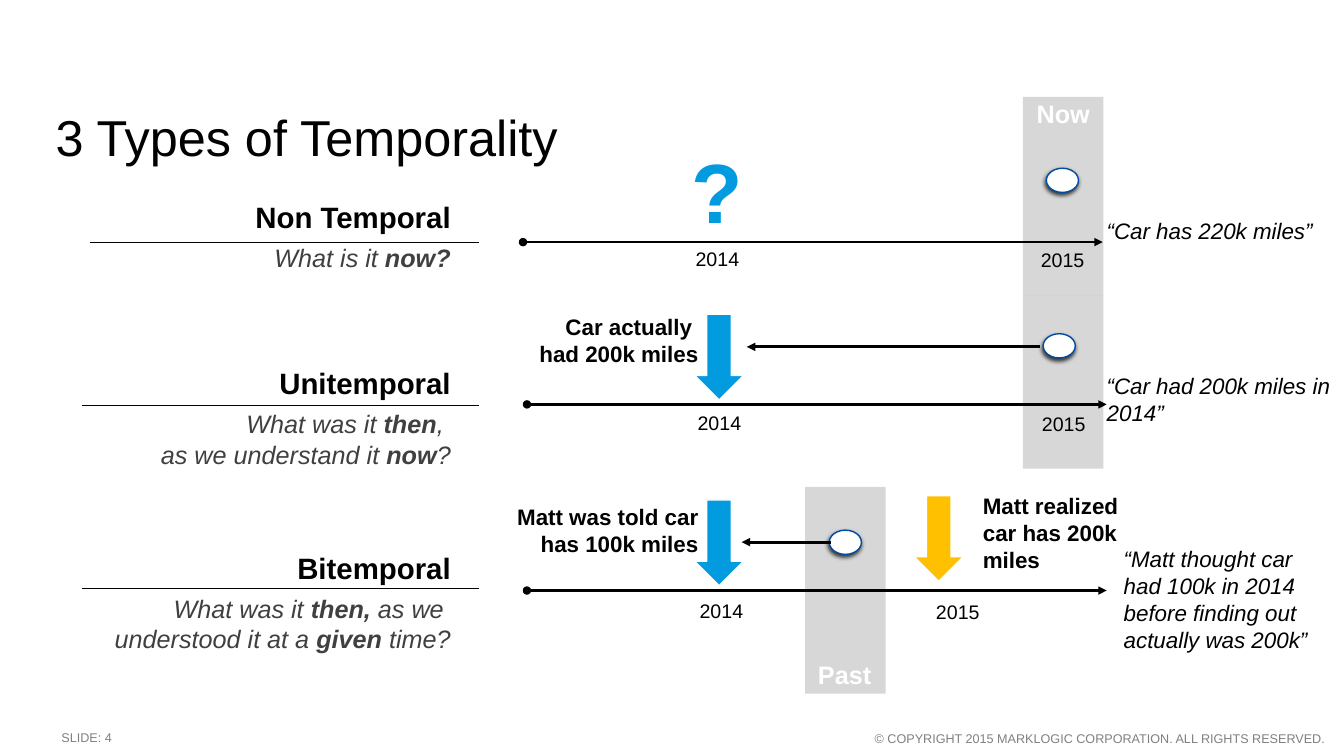
import pptx
import pptx.util
import pptx.dml.color
import pptx.enum.shapes
import pptx.enum.text
import pptx.oxml

Cm, Pt = pptx.util.Cm, pptx.util.Pt
SHAPE = pptx.enum.shapes.MSO_SHAPE
ALIGN = {"l": pptx.enum.text.PP_ALIGN.LEFT, "c": pptx.enum.text.PP_ALIGN.CENTER,
         "r": pptx.enum.text.PP_ALIGN.RIGHT}
ANCHOR = {"t": pptx.enum.text.MSO_ANCHOR.TOP, "m": pptx.enum.text.MSO_ANCHOR.MIDDLE}
NS = 'xmlns:a="http://schemas.openxmlformats.org/drawingml/2006/main"'
BLACK, GREY, DARK, WHITE = "010101", "808080", "404040", "FFFFFF"
BLUE, NAVY, AMBER = "039BDF", "004CA4", "FFC000"

# Content: lengths in cm, boxes as (left, top, width, height)
title = "3 Types of Temporality"
slide_label = "SLIDE: 4"
copyright_line = "© COPYRIGHT 2015 MARKLOGIC CORPORATION. ALL RIGHTS RESERVED."
bands = [(25.78, 2.44, 2.03, 5.0), (25.78, 7.44, 2.03, 4.37), (20.29, 12.27, 2.03, 5.21)]
band_labels = [("Now", (25.78, 2.59, 2.03, 0.56)), ("Past", (20.27, 16.81, 2.03, 0.38))]
# Question runs are (text, bold); years are (left, top); recall is (from, to)
temporalities = [
    dict(name="Non Temporal", question=[("What is it ", False), ("now?", True)],
         box=(0.89, 4.88, 10.72, 2.13), rule=(2.26, 6.1),
         timeline=(13.18, 6.1), years=[(17.53, 6.1), (25.88, 6.12)],
         event=(26.37, 4.24), arrows=[], recall=None, notes=[],
         quote=("“Car has 220k miles”", (27.89, 4.8, 5.44, 2.01))),
    dict(name="Unitemporal",
         question=[("What was it ", False), ("then", True),
                   (", \nas we understand it ", False), ("now", True), ("?", False)],
         box=(0.89, 9.07, 10.72, 2.9), rule=(2.06, 10.21),
         timeline=(13.28, 10.19), years=[(17.58, 10.21), (25.91, 10.24)],
         event=(26.29, 8.41), arrows=[(17.04, 8.38, BLUE)],
         recall=((26.21, 8.74), (18.82, 8.74)),
         notes=[("Car actually \nhad 200k miles", (13.54, 7.62, 4.06, 1.9), "r", "m")],
         quote=("“Car had 200k miles in 2014”", (27.89, 8.81, 5.77, 2.49))),
    dict(name="Bitemporal",
         question=[("What was it ", False), ("then, ", True),
                   ("as we \nunderstood it at a ", False), ("given ", True), ("time?", False)],
         box=(0.89, 13.72, 10.72, 2.9), rule=(2.06, 14.83),
         timeline=(13.28, 14.88), years=[(17.63, 14.96), (23.24, 14.99)],
         event=(20.9, 13.36), arrows=[(17.04, 13.06, BLUE), (22.58, 12.95, AMBER)],
         recall=((20.93, 13.66), (18.69, 13.66)),
         notes=[("Matt was told car has 100k miles", (12.9, 12.67, 4.7, 2.41), "r", "t"),
                ("Matt realized car has 200k miles", (24.77, 12.4, 3.56, 2.03), "l", "m")],
         quote=("“Matt thought car had 100k in 2014 before finding out actually was 200k”",
                (28.32, 13.31, 4.9, 3.56))),
]
RULE_END, TIMELINE_LENGTH = 12.07, 14.61
YEAR_SIZE, EVENT_SIZE, ARROW_SIZE = (1.8, 0.86), (0.81, 0.61), (2.16, 1.24)

deck = pptx.Presentation()
deck.slide_width, deck.slide_height = Cm(33.87), Cm(19.05)
slide = deck.slides.add_slide(deck.slide_layouts[6])


def paint(target, color):
    target.solid()
    target.fore_color.rgb = pptx.dml.color.RGBColor.from_string(color)


def write(paragraph, text, size=16, color=BLACK, bold=False, italic=False):
    for number, line in enumerate(text.split("\n")):
        if number:
            paragraph.add_line_break()
        run = paragraph.add_run()
        run.text = line
        run.font.name, run.font.size = "Arial", Pt(size)
        run.font.bold, run.font.italic = bold, italic
        paint(run.font.fill, color)


def add_text(box, text, align="l", anchor="m", inset=(0, 0), **font):
    frame = slide.shapes.add_textbox(*map(Cm, box)).text_frame
    frame.word_wrap = True
    frame.margin_left = frame.margin_right = Cm(inset[0])
    frame.margin_top = frame.margin_bottom = Cm(inset[1])
    frame.vertical_anchor = ANCHOR[anchor]
    frame.paragraphs[0].alignment = ALIGN[align]
    write(frame.paragraphs[0], text, **font)
    return frame


def add_shape(kind, box, color, outline=None):
    shape = slide.shapes.add_shape(kind, *map(Cm, box))
    shape.shadow.inherit = False
    paint(shape.fill, color)
    if outline:
        paint(shape.line.fill, outline)
        shape.line.width = Pt(1)
    else:
        shape.line.fill.background()
    return shape


def add_line(start, end, width=2, head=None, tail=None):
    line = slide.shapes.add_connector(pptx.enum.shapes.MSO_CONNECTOR.STRAIGHT,
                                      *map(Cm, start + end))
    paint(line.line.fill, BLACK)
    line.line.width = Pt(width)
    for tag, kind in (("headEnd", head), ("tailEnd", tail)):
        if kind:
            line.line._get_or_add_ln().append(
                pptx.oxml.parse_xml(f'<a:{tag} {NS} type="{kind}"/>'))
    line._element.spPr.append(pptx.oxml.parse_xml(f"<a:effectLst {NS}/>"))


# Shaded periods
for box in bands:
    band = add_shape(SHAPE.ROUNDED_RECTANGLE, box, GREY)
    band.adjustments[0] = 0
    band.fill._xPr.solidFill[0].append(pptx.oxml.parse_xml(f'<a:alpha {NS} val="31000"/>'))
for label, box in band_labels:
    add_text(box, label, align="c", size=18, color=WHITE, bold=True)

# Title and footer
heading = add_text((1.4, 2.67, 23.09, 1.63), title, size=36)
heading.paragraphs[0].line_spacing = Pt(40)
add_text((1.55, 18.39, 14.05, 0.76 / 2), slide_label, anchor="t", size=9, color=GREY)
add_text((21.87, 18.42, 11.51, 0.38), copyright_line, align="r", anchor="t", size=9, color=GREY)
add_text((17.42, 3.66, 1.85, 2.26), "?", size=60, color=BLUE, bold=True)

# One row per type of temporality
for row in temporalities:
    name = add_text(row["box"], row["name"], align="r", anchor="t", inset=(0.25, 0.13),
                    size=21, bold=True)
    name.paragraphs[0].space_after = Pt(6)
    question = name.add_paragraph()
    question.alignment = ALIGN["r"]
    for text, bold in row["question"]:
        write(question, text, size=18, color=DARK, bold=bold, italic=True)
    add_line(row["rule"], (RULE_END, row["rule"][1]), width=0.5)

    start, level = row["timeline"]
    add_line((start, level), (start + TIMELINE_LENGTH, level), head="oval", tail="triangle")
    for year, corner, align in zip(("2014", "2015"), row["years"], "lc"):
        add_text(corner + YEAR_SIZE, year, align=align, size=14)

    event = add_shape(SHAPE.OVAL, row["event"] + EVENT_SIZE, WHITE, NAVY)
    event._element.spPr.find(pptx.oxml.ns.qn("a:effectLst")).append(pptx.oxml.parse_xml(
        f'<a:outerShdw {NS} blurRad="38100" dist="25400" dir="6600000" rotWithShape="0">'
        '<a:srgbClr val="000000"><a:alpha val="75000"/></a:srgbClr></a:outerShdw>'))
    for left, top, color in row["arrows"]:
        add_shape(SHAPE.RIGHT_ARROW, (left, top) + ARROW_SIZE, color, WHITE).rotation = 90
    if row["recall"]:
        add_line(*row["recall"], tail="triangle")

    for note, box, align, anchor in row["notes"]:
        add_text(box, note, align=align, anchor=anchor, bold=True)
    quote, box = row["quote"]
    add_text(box, quote, italic=True)

deck.save("out.pptx")
